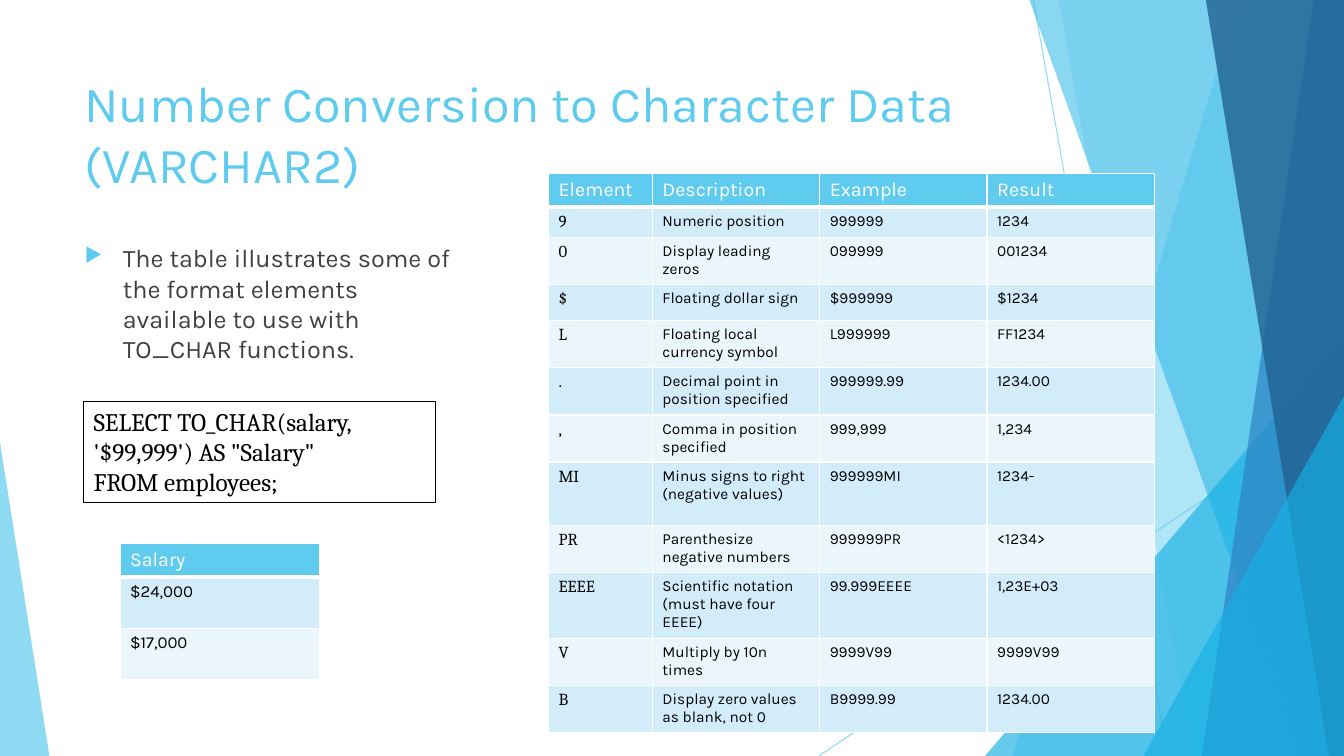
from dataclasses import dataclass

from lxml.etree import SubElement
from pptx import Presentation
from pptx.dml.color import RGBColor
from pptx.enum.shapes import MSO_CONNECTOR, MSO_SHAPE
from pptx.enum.text import MSO_ANCHOR, PP_ALIGN
from pptx.oxml.ns import qn
from pptx.util import Inches, Pt


@dataclass(frozen=True)
class Theme:
    sky: str = "5FCBEF"
    cyan: str = "17B0E4"
    blue: str = "2E83C3"
    navy: str = "226292"
    band_dark: str = "D2ECF9"
    band_light: str = "EAF6FC"
    white: str = "FFFFFF"
    black: str = "000000"
    gray: str = "404040"
    sans: str = "Karla"
    serif: str = "Cambria"
    title_size: int = 36
    body_size: int = 18
    header_size: int = 14
    cell_size: int = 12
    detail_size: int = 11


THEME = Theme()
WIDTH, HEIGHT = 13.33, 7.5

TITLE = "Number Conversion to Character Data (VARCHAR2)"
BODY = ("The table illustrates some of the format elements available to use "
        "with TO_CHAR functions.")
QUERY = ["SELECT TO_CHAR(salary,", "'$99,999') AS \"Salary\"", "FROM employees;"]

FORMAT_ROWS = [
    ("Element", "Description", "Example", "Result"),
    ("9", "Numeric position", "999999", "1234"),
    ("0", "Display leading zeros", "099999", "001234"),
    ("$", "Floating dollar sign", "$999999", "$1234"),
    ("L", "Floating local currency symbol", "L999999", "FF1234"),
    (".", "Decimal point in position specified", "999999.99", "1234.00"),
    (",", "Comma in position specified", "999,999", "1,234"),
    ("MI", "Minus signs to right (negative values)", "999999MI", "1234-"),
    ("PR", "Parenthesize negative numbers", "999999PR", "<1234>"),
    ("EEEE", "Scientific notation (must have four EEEE)", "99.999EEEE", "1,23E+03"),
    ("V", "Multiply by 10n times", "9999V99", "9999V99"),
    ("B", "Display zero values as blank, not 0", "B9999.99", "1234.00"),
]
FORMAT_WIDTHS = [1.03, 1.66, 1.66, 1.66]
FORMAT_HEIGHTS = [0.3, 0.3, 0.45, 0.36, 0.45, 0.45, 0.45, 0.63, 0.45, 0.63, 0.45, 0.45]
FORMAT_FONTS = [(THEME.serif, THEME.cell_size)] + [(THEME.sans, THEME.detail_size)] * 3

SALARY_ROWS = [("Salary",), ("$24,000",), ("$17,000",)]
SALARY_HEIGHTS = [0.32, 0.51, 0.51]
SALARY_FONTS = [(THEME.sans, THEME.cell_size)]

RAYS = [((10.25, 0), (11.58, HEIGHT)), ((WIDTH, 4.03), (8.12, HEIGHT))]
# Bands reach the right edge: top-left x, bottom-left x, colour, opacity
# Triangles stand on the bottom edge: left, top, width, apex, colour, opacity
FACETS = [
    ("band", 12.28, 10.04, THEME.sky, 36),
    ("band", 10.5, 11.83, THEME.sky, 20),
    ("triangle", 9.77, 3.33, 3.56, 1, THEME.cyan, 66),
    ("band", 10.21, 12.91, THEME.cyan, 50),
    ("band", 13.03, 11.92, THEME.blue, 70),
    ("band", 11.96, 13.18, THEME.navy, 80),
    ("triangle", 11.34, 3.93, 1.99, 1, THEME.cyan, 66),
    ("triangle", 0, 4.39, 0.49, 0, THEME.sky, 70),
]


def set_opacity(shape, percent):
    for color in shape._element.spPr.xpath(".//a:srgbClr"):
        SubElement(color, qn("a:alpha"), val=str(percent * 1000))


def draw_ray(page, start, end):
    ray = page.shapes.add_connector(
        MSO_CONNECTOR.STRAIGHT, *(Inches(value) for value in start + end))
    ray.line.color.rgb = RGBColor.from_string(THEME.sky)
    ray.line.width = Pt(0.75)
    set_opacity(ray, 70)
    SubElement(ray._element.spPr, qn("a:effectLst"))


def draw_facet(page, kind, *geometry):
    *place, color, opacity = geometry
    if kind == "band":
        top_x, bottom_x = place
        corners = [(top_x, 0), (WIDTH, 0), (WIDTH, HEIGHT), (bottom_x, HEIGHT)]
        points = [(Inches(x), Inches(y)) for x, y in corners]
        builder = page.shapes.build_freeform(*points[0])
        builder.add_line_segments(points[1:], close=True)
        facet = builder.convert_to_shape()
    else:
        left, top, width, apex = place
        facet = page.shapes.add_shape(
            MSO_SHAPE.ISOSCELES_TRIANGLE, Inches(left), Inches(top),
            Inches(width), Inches(HEIGHT - top))
        facet.adjustments[0] = apex
    facet.shadow.inherit = False
    facet.fill.solid()
    facet.fill.fore_color.rgb = RGBColor.from_string(color)
    facet.line.fill.background()
    set_opacity(facet, opacity)


def add_span(para, text, font, size, color):
    para.alignment = PP_ALIGN.LEFT
    span = para.add_run()
    span.text = text
    span.font.name = font
    span.font.size = Pt(size)
    span.font.bold = False
    span.font.color.rgb = RGBColor.from_string(color)


def add_text(page, lines, left, top, width, height, *style):
    box = page.shapes.add_textbox(*map(Inches, (left, top, width, height)))
    frame = box.text_frame
    frame.word_wrap = True
    frame.vertical_anchor = MSO_ANCHOR.TOP
    for index, line in enumerate(lines):
        para = frame.add_paragraph() if index else frame.paragraphs[0]
        add_span(para, line, *style)
    return box


def add_bullet(para):
    properties = para._p.get_or_add_pPr()
    properties.set("marL", str(Inches(0.38)))
    properties.set("indent", str(-Inches(0.38)))
    color = SubElement(properties, qn("a:buClr"))
    SubElement(color, qn("a:srgbClr"), val=THEME.sky)
    SubElement(properties, qn("a:buSzPct"), val="80000")
    SubElement(properties, qn("a:buChar"), char="▶")


def set_borders(cell, bottom_width):
    properties = cell._tc.get_or_add_tcPr()
    for side, width in (("L", 1), ("R", 1), ("T", 1), ("B", bottom_width)):
        line = SubElement(properties, qn(f"a:ln{side}"), w=str(Pt(width)))
        fill = SubElement(line, qn("a:solidFill"))
        SubElement(fill, qn("a:srgbClr"), val=THEME.white)


def add_grid(page, left, top, rows, widths, heights, fonts):
    """Draw a table with a header row and alternating bands."""
    frame = page.shapes.add_table(
        len(rows), len(widths), Inches(left), Inches(top),
        Inches(sum(widths)), Inches(sum(heights)))
    table = frame.table
    for column, width in zip(table.columns, widths):
        column.width = Inches(width)
    for index, (row, height, texts) in enumerate(zip(table.rows, heights, rows)):
        row.height = Inches(height)
        header = index == 0
        band = THEME.band_dark if index % 2 else THEME.band_light
        for cell, text, (font, size) in zip(row.cells, texts, fonts):
            set_borders(cell, 3 if header else 1)
            cell.fill.solid()
            cell.fill.fore_color.rgb = RGBColor.from_string(THEME.sky if header else band)
            style = ((THEME.sans, THEME.header_size, THEME.white) if header
                     else (font, size, THEME.black))
            add_span(cell.text_frame.paragraphs[0], text, *style)


def main():
    deck = Presentation()
    deck.slide_width, deck.slide_height = Inches(WIDTH), Inches(HEIGHT)
    page = deck.slides.add_slide(deck.slide_layouts[6])
    for start, end in RAYS:
        draw_ray(page, start, end)
    for facet in FACETS:
        draw_facet(page, *facet)

    add_text(page, [TITLE], 0.74, 0.67, 9.4, 1.44,
             THEME.sans, THEME.title_size, THEME.sky)
    body = add_text(page, [BODY], 0.74, 2.36, 3.89, 4.24,
                    THEME.sans, THEME.body_size, THEME.gray)
    add_bullet(body.text_frame.paragraphs[0])
    add_grid(page, 5.44, 1.72, FORMAT_ROWS, FORMAT_WIDTHS, FORMAT_HEIGHTS, FORMAT_FONTS)
    query = add_text(page, QUERY, 0.83, 3.98, 3.49, 1.01,
                     THEME.serif, THEME.body_size, THEME.black)
    query.line.color.rgb = RGBColor.from_string(THEME.black)
    query.line.width = Pt(0.75)
    add_grid(page, 1.19, 5.39, SALARY_ROWS, [1.98], SALARY_HEIGHTS, SALARY_FONTS)
    deck.save("out.pptx")


if __name__ == "__main__":
    main()
